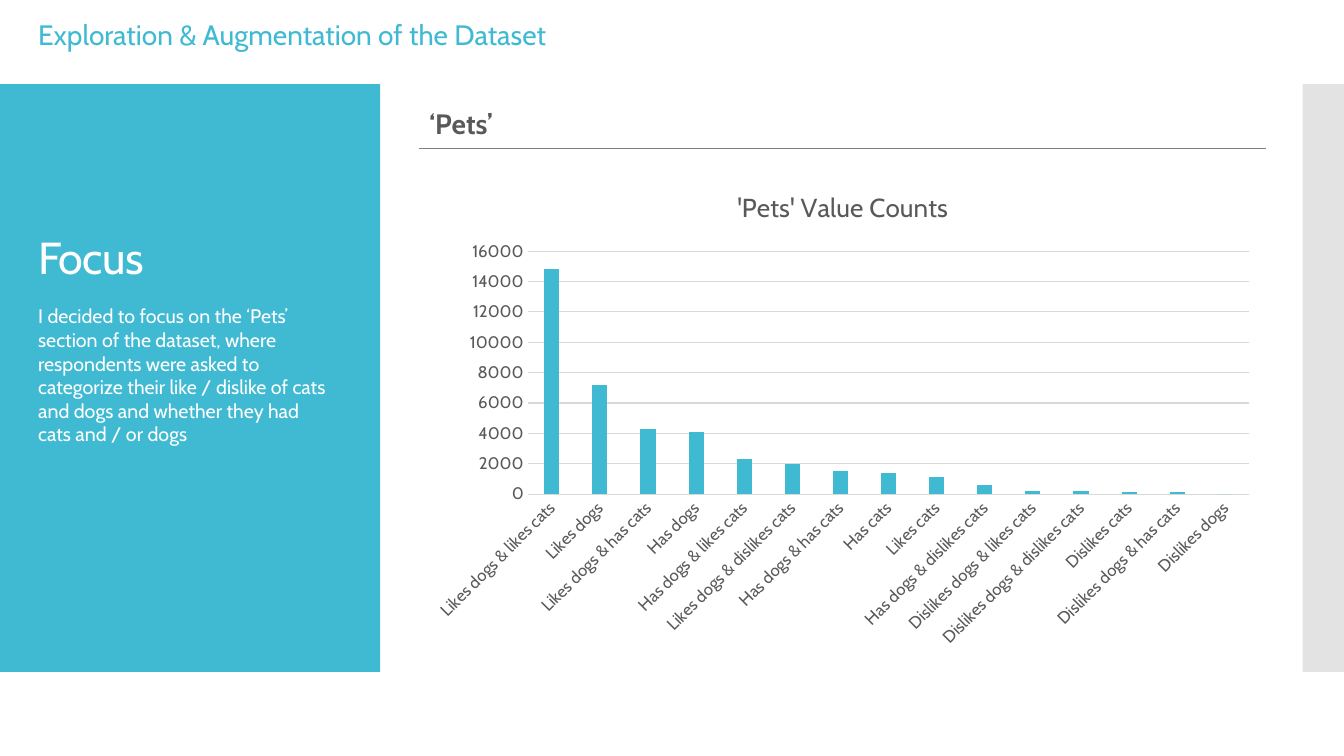
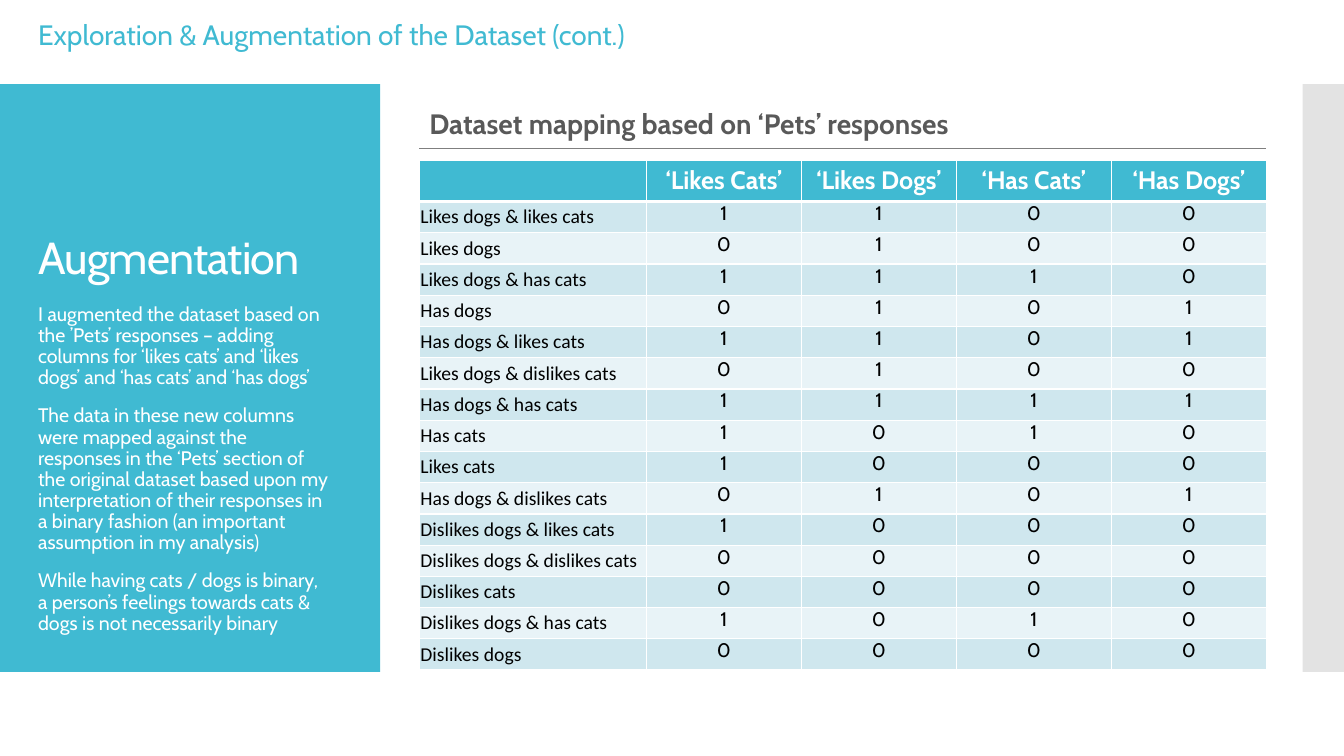
from lxml import etree
from pptx import Presentation
from pptx import util as u
from pptx.chart.data import CategoryChartData
from pptx.dml.color import RGBColor
from pptx.enum import chart as ch, shapes, text
from pptx.oxml.ns import qn

# Shared look
TEAL, GREY, WHITE, BLACK = "40BAD2", "595959", "FFFFFF", "000000"
BAND, RULE, GRID = "C8C8C8", "7F7F7F", "D9D9D9"
STRIPES = ("CFE7EE", "E8F3F7")
FONT, LABEL_FONT = "Cabin", "Calibri"
W, H = 13.33, 7.5
SIDE_X, SIDE_W = 0.28, 3.1
MAIN_X, MAIN_W = 4.16, 8.4
BAND_Y, BAND_H = H / 9, H * 7 / 9

# Content
HEADER = "Exploration & Augmentation of the Dataset"
FOCUS = ["I decided to focus on the ‘Pets’ section of the dataset, where respondents were "
         "asked to categorize their like / dislike of cats and dogs and whether they had "
         "cats and / or dogs"]
AUGMENTATION = [
    "I augmented the dataset based on the ’Pets’ responses – adding columns for "
    "‘likes cats’ and ‘likes dogs’ and ‘has cats’ and ‘has dogs’",
    "The data in these new columns were mapped against the responses in the ‘Pets’ section "
    "of the original dataset based upon my interpretation of their responses in a binary "
    "fashion (an important assumption in my analysis)",
    "While having cats / dogs is binary, a person’s feelings towards cats & dogs is not "
    "necessarily binary",
]
CHART_TITLE = "'Pets' Value Counts"
COLUMNS = ["", "‘Likes Cats’", "‘Likes Dogs’", "‘Has Cats’", "‘Has Dogs’"]
# response, count, flags in the order of COLUMNS
RESPONSES = [
    ("Likes dogs & likes cats", 14800, "1100"),
    ("Likes dogs", 7200, "0100"),
    ("Likes dogs & has cats", 4300, "1110"),
    ("Has dogs", 4100, "0101"),
    ("Has dogs & likes cats", 2300, "1101"),
    ("Likes dogs & dislikes cats", 2000, "0100"),
    ("Has dogs & has cats", 1500, "1111"),
    ("Has cats", 1400, "1010"),
    ("Likes cats", 1100, "1000"),
    ("Has dogs & dislikes cats", 600, "0101"),
    ("Dislikes dogs & likes cats", 200, "1000"),
    ("Dislikes dogs & dislikes cats", 200, "0000"),
    ("Dislikes cats", 100, "0000"),
    ("Dislikes dogs & has cats", 100, "1010"),
    ("Dislikes dogs", 0, "0000"),
]


def rgb(color):
    return RGBColor.from_string(color)


def box(*lengths):
    return [u.Inches(n) for n in lengths]


def style(font, size, color, bold=False, name=FONT):
    font.size, font.bold, font.name = u.Pt(size), bold, name
    font.color.rgb = rgb(color)


def write(tf, paragraphs, size, color, bold=False, name=FONT, anchor=None,
          align=text.PP_ALIGN.LEFT, leading=None, before=0, spacing=None):
    tf.word_wrap = True
    if anchor is not None:
        tf.vertical_anchor = anchor
    for i, content in enumerate(paragraphs):
        p = tf.paragraphs[0] if i == 0 else tf.add_paragraph()
        p.alignment, p.space_before = align, u.Pt(before)
        if leading:
            p.line_spacing = leading
        r = p.add_run()
        r.text = content
        style(r.font, size, color, bold, name)
        if spacing:
            r.font._element.set("spc", str(spacing))


def text_box(s, at, paragraphs, size, color, **fmt):
    write(s.shapes.add_textbox(*box(*at)).text_frame, paragraphs, size, color,
          before=12, **fmt)


def band(s, x, w, color, alpha=None):
    sp = s.shapes.add_shape(shapes.MSO_SHAPE.RECTANGLE, *box(x, BAND_Y, w, BAND_H))
    sp.shadow.inherit = False
    sp.fill.solid()
    sp.fill.fore_color.rgb = rgb(color)
    sp.line.fill.background()
    if alpha:
        clr = sp._element.spPr.find(qn("a:solidFill"))[0]
        etree.SubElement(clr, qn("a:alpha")).set("val", str(alpha * 1000))


def base_slide(prs, header, title, body, subtitle, leading=None):
    s = prs.slides.add_slide(prs.slide_layouts[5])
    band(s, 0, 3.77, TEAL)
    band(s, 12.92, W - 12.92, BAND, alpha=50)
    rule = s.shapes.add_connector(shapes.MSO_CONNECTOR.STRAIGHT,
                                  *box(MAIN_X, 1.47, MAIN_X + MAIN_W, 1.47))
    rule.line.color.rgb, rule.line.width = rgb(RULE), u.Pt(0.75)
    etree.SubElement(rule._element.spPr, qn("a:effectLst"))

    # Title above the bands: move the placeholder to the front
    sp = s.shapes.title
    s.shapes._spTree.append(sp._element)
    sp.left, sp.top, sp.width, sp.height = box(SIDE_X, 1.25, SIDE_W, 1.62)
    sp.text_frame.auto_size = text.MSO_AUTO_SIZE.NONE
    write(sp.text_frame, [title], 32, WHITE, anchor=text.MSO_ANCHOR.BOTTOM,
          leading=0.9, spacing=-60)

    text_box(s, (SIDE_X, 2.97, SIDE_W, 3.39), body, 14, WHITE, leading=leading)
    text_box(s, (MAIN_X, 0.79, MAIN_W, 0.65), [subtitle], 20, GREY, bold=True,
             anchor=text.MSO_ANCHOR.BOTTOM, leading=0.9)
    text_box(s, (SIDE_X, 0.16, 6.07, 0.4), [header], 20, TEAL,
             anchor=text.MSO_ANCHOR.MIDDLE, leading=0.9)
    return s


def add_counts_chart(s):
    data = CategoryChartData()
    data.categories = [name for name, _, _ in RESPONSES]
    data.add_series(CHART_TITLE, [count for _, count, _ in RESPONSES])
    chart = s.shapes.add_chart(ch.XL_CHART_TYPE.COLUMN_CLUSTERED,
                               *box(MAIN_X, 1.68, MAIN_W, 4.84), data).chart
    style(chart.font, 10, BLACK)
    chart.has_legend = False
    chart.has_title = True
    write(chart.chart_title.text_frame, [CHART_TITLE], 18.6, GREY,
          align=text.PP_ALIGN.CENTER)
    chart.chart_title.include_in_layout = False

    plot = chart.plots[0]
    plot.gap_width, plot.overlap, plot.vary_by_categories = 219, -27, False
    fill = plot.series[0].format.fill
    fill.solid()
    fill.fore_color.rgb = rgb(TEAL)

    cat, val = chart.category_axis, chart.value_axis
    for axis in (cat, val):
        style(axis.tick_labels.font, 12, GREY)
        axis.major_tick_mark = axis.minor_tick_mark = ch.XL_TICK_MARK.NONE
    val.has_major_gridlines = True
    val.format.line.fill.background()
    for line in (cat.format.line, val.major_gridlines.format.line):
        line.color.rgb, line.width = rgb(GRID), u.Pt(0.75)
    # Category labels slant upwards at 45 degrees
    body = cat._element.find(qn("c:txPr")).find(qn("a:bodyPr"))
    body.set("rot", str(-45 * 60000))
    body.set("vert", "horz")


def set_borders(cell, bottom):
    tcPr = cell._tc.get_or_add_tcPr()
    for i, (side, width) in enumerate((("L", 1), ("R", 1), ("T", 1), ("B", bottom))):
        ln = etree.Element(qn(f"a:ln{side}"), w=str(u.Pt(width)))
        fill = etree.SubElement(ln, qn("a:solidFill"))
        etree.SubElement(fill, qn("a:srgbClr")).set("val", WHITE)
        tcPr.insert(i, ln)


def add_mapping_table(s):
    rows = [COLUMNS] + [[name, *flags] for name, _, flags in RESPONSES]
    head_h, row_h, label_w = 0.41, 0.31, 2.25
    flag_w = (MAIN_W - label_w) / (len(COLUMNS) - 1)
    table = s.shapes.add_table(
        len(rows), len(COLUMNS),
        *box(MAIN_X, 1.59, MAIN_W, head_h + row_h * len(RESPONSES))).table
    for c, col in enumerate(table.columns):
        col.width = u.Inches(flag_w if c else label_w)
    for r, values in enumerate(rows):
        table.rows[r].height = u.Inches(row_h if r else head_h)
        for c, value in enumerate(values):
            cell = table.cell(r, c)
            cell.fill.solid()
            cell.fill.fore_color.rgb = rgb(STRIPES[(r - 1) % 2] if r else TEAL)
            set_borders(cell, bottom=1 if r else 3)
            if r:
                cell.margin_top = cell.margin_bottom = 0
                cell.margin_left = cell.margin_right = u.Inches(0.1 if c else 0.01)
            if r and not c:
                cell.vertical_anchor = text.MSO_ANCHOR.MIDDLE
            if value:
                write(cell.text_frame, [value], 14 if r else 18, BLACK if r else WHITE,
                      bold=not r, name=FONT if c else LABEL_FONT,
                      align=text.PP_ALIGN.CENTER if c else text.PP_ALIGN.LEFT)


def main():
    prs = Presentation()
    prs.slide_width, prs.slide_height = box(W, H)
    add_counts_chart(base_slide(prs, HEADER, "Focus", FOCUS, "‘Pets’"))
    add_mapping_table(base_slide(prs, HEADER + " (cont.)", "Augmentation", AUGMENTATION,
                                 "Dataset mapping based on ‘Pets’ responses", leading=0.9))
    prs.save("out.pptx")


if __name__ == "__main__":
    main()
